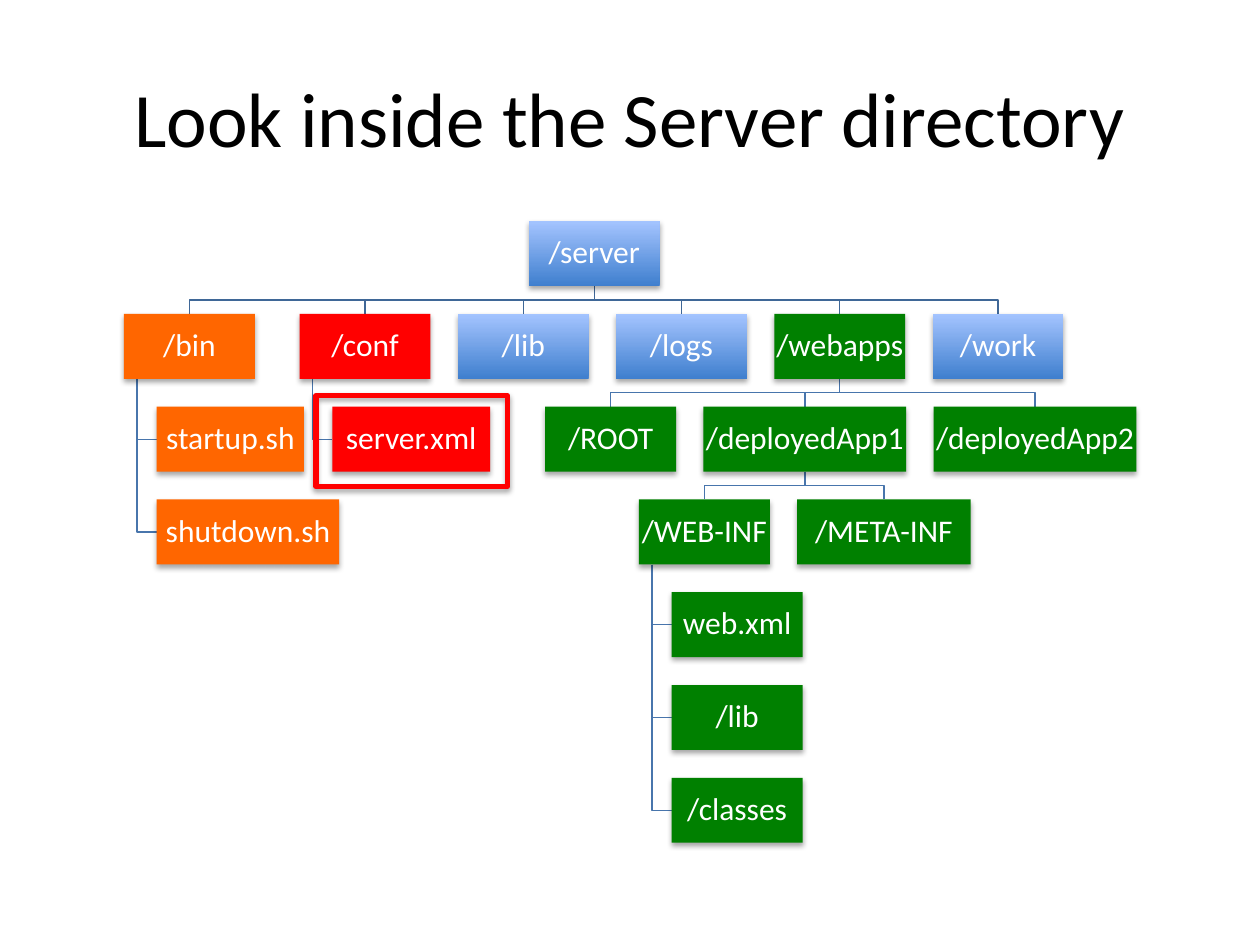
from dataclasses import dataclass, field

from lxml import etree
from pptx import Presentation
from pptx.dml.color import RGBColor
from pptx.enum import shapes, text
from pptx.oxml import ns
from pptx.util import Cm, Inches, Pt

BLACK = RGBColor(0x00, 0x00, 0x00)
WHITE = RGBColor(0xFF, 0xFF, 0xFF)
ORANGE = RGBColor(0xFF, 0x66, 0x00)
RED = RGBColor(0xFF, 0x00, 0x00)
GREEN = RGBColor(0x00, 0x80, 0x00)
BLUE = RGBColor(0x3F, 0x7F, 0xCE)
PALE = RGBColor(0xA4, 0xC4, 0xFF)
DARK = RGBColor(0x3F, 0x67, 0x97)
STEEL = RGBColor(0x48, 0x75, 0xAC)

FONT = "Calibri"
WIDE, HIGH, GAP = 2.64, 1.31, 0.55  # box size and space between boxes, cm
STEP = 1.87  # from one row to the next
INDENT = WIDE / 4  # hanging children
STEM = WIDE / 10  # where their line leaves the parent


@dataclass
class Node:
    name: str
    hue: RGBColor
    wide: float = WIDE
    left: float = None  # None: right after the sibling before
    hang: bool = False  # children stacked below, not side by side
    kids: list = field(default_factory=list)
    row: int = 0

    @property
    def mid(self):
        return self.left + self.wide / 2

    @property
    def top(self):
        return self.row * STEP


TREE = Node("/server", BLUE, left=8.16, kids=[
    Node("/bin", ORANGE, left=0, hang=True, kids=[
        Node("startup.sh", ORANGE, 2.97),
        Node("shutdown.sh", ORANGE, 3.68)]),
    Node("/conf", RED, left=3.54, hang=True, kids=[
        Node("server.xml", RED, 3.18)]),
    Node("/lib", BLUE),
    Node("/logs", BLUE),
    Node("/webapps", GREEN, kids=[
        Node("/ROOT", GREEN, left=8.49),
        Node("/deployedApp1", GREEN, 4.09, kids=[
            Node("/WEB-INF", GREEN, left=10.38, hang=True, kids=[
                Node("web.xml", GREEN),
                Node("/lib", GREEN),
                Node("/classes", GREEN)]),
            Node("/META-INF", GREEN, 3.5)]),
        Node("/deployedApp2", GREEN, 4.09)]),
    Node("/work", BLUE)])


def arrange(node):
    """Set the row and left edge of every node below this one."""
    edge = 0
    for i, kid in enumerate(node.kids):
        kid.row = node.row + 1 + (i if node.hang else 0)
        if node.hang:
            kid.left = node.left + INDENT
        elif kid.left is None:
            kid.left = edge + GAP
        edge = kid.left + kid.wide
        arrange(kid)


def walk(node):
    yield node
    for kid in node.kids:
        yield from walk(kid)


def shade(shape):
    """Give the shape a soft shadow straight below it."""
    shape.shadow.inherit = False
    effects = shape._element.spPr.find(ns.qn("a:effectLst"))
    outer = etree.SubElement(effects, ns.qn("a:outerShdw"), blurRad="40000",
                             dist="23000", dir="5400000", rotWithShape="0")
    color = etree.SubElement(outer, ns.qn("a:srgbClr"), val="000000")
    etree.SubElement(color, ns.qn("a:alpha"), val="35000")


def add_title(slide, words, left, top, width, height):
    title = slide.shapes.title
    title.left, title.top, title.width, title.height = left, top, width, height
    frame = title.text_frame
    frame.text = words
    frame.vertical_anchor = text.MSO_ANCHOR.MIDDLE
    para = frame.paragraphs[0]
    para.alignment = text.PP_ALIGN.CENTER
    para.font.name, para.font.size = FONT, Pt(44)
    para.font.color.rgb = BLACK


def add_link(slide, node, kid, left, top):
    """Draw the elbow line from a parent to one child."""
    base = node.top + HIGH
    if node.hang:
        stem, side = node.left + STEM, kid.top + HIGH / 2
        route = [(stem, base), (stem, side), (kid.left, side)]
    else:
        turn = (base + kid.top) / 2
        route = [(node.mid, base), (node.mid, turn),
                 (kid.mid, turn), (kid.mid, kid.top)]
    points = [(left + Cm(x), top + Cm(y)) for x, y in route]
    pen = slide.shapes.build_freeform(*points[0])
    pen.add_line_segments(points[1:], close=False)
    link = pen.convert_to_shape()
    link.shadow.inherit = False
    link.fill.background()
    link.line.color.rgb = STEEL if node.row else DARK
    link.line.width = Pt(0.75)


def add_box(slide, node, left, top):
    box = slide.shapes.add_shape(
        shapes.MSO_SHAPE.RECTANGLE, left + Cm(node.left), top + Cm(node.top),
        Cm(node.wide), Cm(HIGH))
    if node.hue == BLUE:
        box.fill.gradient()
        box.fill.gradient_angle = 90
        for stop, hue in zip(box.fill.gradient_stops, (BLUE, PALE)):
            stop.color.rgb = hue
        first, last = box.fill.gradient_stops
        first.position, last.position = 0, 1
    else:
        box.fill.solid()
        box.fill.fore_color.rgb = node.hue
    box.line.fill.background()
    shade(box)

    frame = box.text_frame
    frame.text = node.name
    frame.word_wrap = False
    frame.vertical_anchor = text.MSO_ANCHOR.MIDDLE
    frame.margin_left = frame.margin_right = Cm(0.03)
    frame.margin_top = frame.margin_bottom = Cm(0.03)
    para = frame.paragraphs[0]
    para.alignment = text.PP_ALIGN.CENTER
    para.line_spacing = 0.9
    para.font.name, para.font.size = FONT, Pt(18)
    para.font.color.rgb = WHITE


def add_tree(slide, root, left, top):
    arrange(root)
    # Lines lie behind the boxes
    for node in walk(root):
        for kid in node.kids:
            add_link(slide, node, kid, left, top)
    for node in walk(root):
        add_box(slide, node, left, top)


def add_mark(slide, left, top, width, height):
    """Frame the file to look at."""
    mark = slide.shapes.add_shape(shapes.MSO_SHAPE.RECTANGLE,
                                  left, top, width, height)
    mark.fill.background()
    mark.line.color.rgb = RED
    mark.line.width = Pt(3)
    shade(mark)


def main():
    deck = Presentation()
    deck.slide_width, deck.slide_height = Inches(10), Inches(7.5)
    slide = deck.slides.add_slide(deck.slide_layouts[5])
    add_title(slide, "Look inside the Server directory",
              Cm(1.27), Cm(0.76), Cm(22.86), Cm(3.18))
    left, top = Cm(2.5), Cm(4.46)
    add_tree(slide, TREE, left, top)
    add_mark(slide, left + Cm(3.87), top + Cm(3.52), Cm(3.86), Cm(1.83))
    deck.save("out.pptx")


if __name__ == "__main__":
    main()
